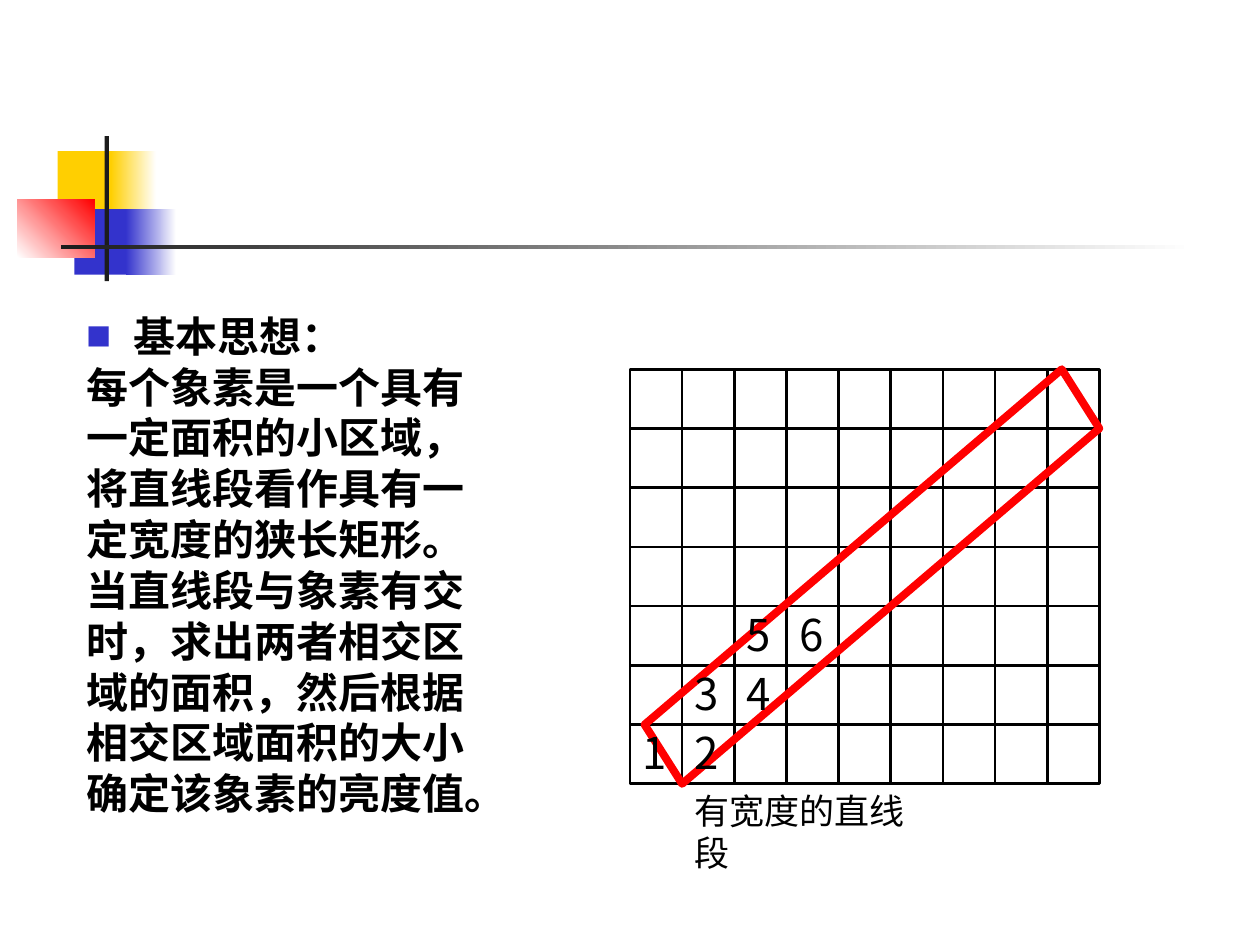
"""Builds a slide on drawing a line segment with width over a pixel grid."""
import pptx
import pptx.dml.color
import pptx.enum.shapes
import pptx.oxml.ns
import pptx.util
from lxml import etree

Pt = pptx.util.Pt
qn = pptx.oxml.ns.qn
RECTANGLE = pptx.enum.shapes.MSO_SHAPE.RECTANGLE

COLORS = {"yellow": "FFCF01", "blue": "3333CC", "red": "FF0000",
          "dark": "1C1C1C", "black": "000000", "white": "FFFFFF"}
LATIN, CJK = "Lato", "Noto Sans CJK SC"
COLS, ROWS = 9, 7
LEFT, TOP, WIDTH, HEIGHT = 360, 211, 268.2, 236.9
CELL_W, CELL_H = WIDTH / COLS, HEIGHT / ROWS

DECORATION = [
    ((33, 86.4, 34.6, 37.4), ["yellow"], 0),
    ((63.4, 86.4, 25.9, 37.4), ["yellow", "white"], 0),
    ((42.5, 119.5, 33.1, 37.4), ["blue"], 0),
    ((72, 119.5, 28.8, 37.4), ["blue", "white"], 0),
    ((10, 113.8, 44, 33.2), ["white", "red"], 45),
    ((59.8, 77.8, 2.5, 82.8), ["dark"], 0),
    ((34.6, 140, 648, 2.5), ["dark", "white"], 0),
]
BODY = ["基本思想：", "每个象素是一个具有", "一定面积的小区域，", "将直线段看作具有一",
        "定宽度的狭长矩形。", "当直线段与象素有交", "时，求出两者相交区",
        "域的面积，然后根据", "相交区域面积的大小", "确定该象素的亮度值。"]
DIGIT_CELLS = [(0, 6), (1, 6), (1, 5), (2, 5), (2, 4), (3, 4)]
SEGMENT_CORNERS = [(8.28, 0), (9, 1), (1, 7), (0.28, 6)]


def rgb(name):
    """Return the named colour."""
    return pptx.dml.color.RGBColor.from_string(COLORS[name])


def grid_point(col, row):
    """Return the position of a grid corner."""
    return Pt(LEFT + col * CELL_W), Pt(TOP + row * CELL_H)


def set_line(s, color, width):
    """Give a shape or connector a solid line."""
    s.line.color.rgb = rgb(color)
    s.line.width = Pt(width)


def set_font(p, name, size, bold=False):
    """Set the font of a paragraph for Latin and Chinese text."""
    p.font.name, p.font.size, p.font.bold = name, Pt(size), bold
    p.font.color.rgb = rgb("black")
    props = p._p.pPr.find(qn("a:defRPr"))
    etree.SubElement(props, qn("a:ea"), typeface=name)


def add_rect(slide, box, colors=(), angle=0):
    """Add a rectangle with no fill, a solid fill or a gradient."""
    s = slide.shapes.add_shape(RECTANGLE, *map(Pt, box))
    s.shadow.inherit = False
    s.line.fill.background()
    if len(colors) == 2:
        s.fill.gradient()
        s.fill.gradient_angle = angle
        for stop, color, position in zip(s.fill.gradient_stops, colors, (0, 1)):
            stop.color.rgb = rgb(color)
            stop.position = position
    elif colors:
        s.fill.solid()
        s.fill.fore_color.rgb = rgb(colors[0])
    else:
        s.fill.background()
    return s


def add_line(slide, start, end):
    """Add a grid line."""
    kind = pptx.enum.shapes.MSO_CONNECTOR.STRAIGHT
    s = slide.shapes.add_connector(kind, *start, *end)
    set_line(s, "black", 1.5)
    etree.SubElement(s._element.spPr, qn("a:effectLst"))


def add_grid(slide):
    """Add the frame and inner lines of the pixel grid."""
    set_line(add_rect(slide, (LEFT, TOP, WIDTH, HEIGHT)), "black", 1.5)
    for row in range(1, ROWS):
        add_line(slide, grid_point(0, row), grid_point(COLS, row))
    for col in range(1, COLS):
        add_line(slide, grid_point(col, 0), grid_point(col, ROWS))


def add_segment(slide):
    """Add the narrow rectangle that stands for the wide line segment."""
    start, *rest = [grid_point(*corner) for corner in SEGMENT_CORNERS]
    builder = slide.shapes.build_freeform(*start)
    builder.add_line_segments(rest, close=True)
    s = builder.convert_to_shape()
    s.shadow.inherit = False
    s.fill.background()
    set_line(s, "red", 4.5)


def add_label(slide, text, box, size):
    """Add a one-line label without insets."""
    tf = slide.shapes.add_textbox(*map(Pt, box)).text_frame
    tf.margin_left = tf.margin_right = tf.margin_top = tf.margin_bottom = 0
    tf.word_wrap = False
    p = tf.paragraphs[0]
    p.text = text
    set_font(p, CJK, size)


def add_bullet(p):
    """Give a paragraph a small blue square bullet."""
    props = p._p.get_or_add_pPr()
    color = etree.SubElement(props, qn("a:buClr"))
    etree.SubElement(color, qn("a:srgbClr"), val=COLORS["blue"])
    etree.SubElement(props, qn("a:buSzPct"), val="60000")
    etree.SubElement(props, qn("a:buFont"), typeface=CJK)
    etree.SubElement(props, qn("a:buChar"), char="■")


def add_body(slide):
    """Add the explanation, with a bullet on its heading."""
    tf = slide.shapes.add_textbox(Pt(42.5), Pt(179.3), Pt(266.4), Pt(336)).text_frame
    tf.word_wrap = True
    for i, text in enumerate(BODY):
        p = tf.paragraphs[0] if i == 0 else tf.add_paragraph()
        p.text = text
        p.line_spacing = 0.8
        p.space_before = Pt(6 if i else 0)
        props = p._p.get_or_add_pPr()
        props.set("marL", str(Pt(27)))
        props.set("indent", str(-Pt(27)))
        if i == 0:
            add_bullet(p)
        set_font(p, LATIN, 24, bold=True)


def main():
    """Build and save the slide."""
    prs = pptx.Presentation()
    prs.slide_width, prs.slide_height = Pt(720), Pt(540)
    slide = prs.slides.add_slide(prs.slide_layouts[6])
    for box, colors, angle in DECORATION:
        add_rect(slide, box, colors, angle)
    add_body(slide)
    add_grid(slide)
    add_segment(slide)
    add_label(slide, "有宽度的直线段", (397, 451.4, 140, 24), 20)
    for number, (col, row) in enumerate(DIGIT_CELLS, 1):
        box = (LEFT + col * CELL_W + 7.2, TOP + row * CELL_H + 0.7, 14.4, 30)
        add_label(slide, str(number), box, 25)
    prs.save("out.pptx")


if __name__ == "__main__":
    main()
